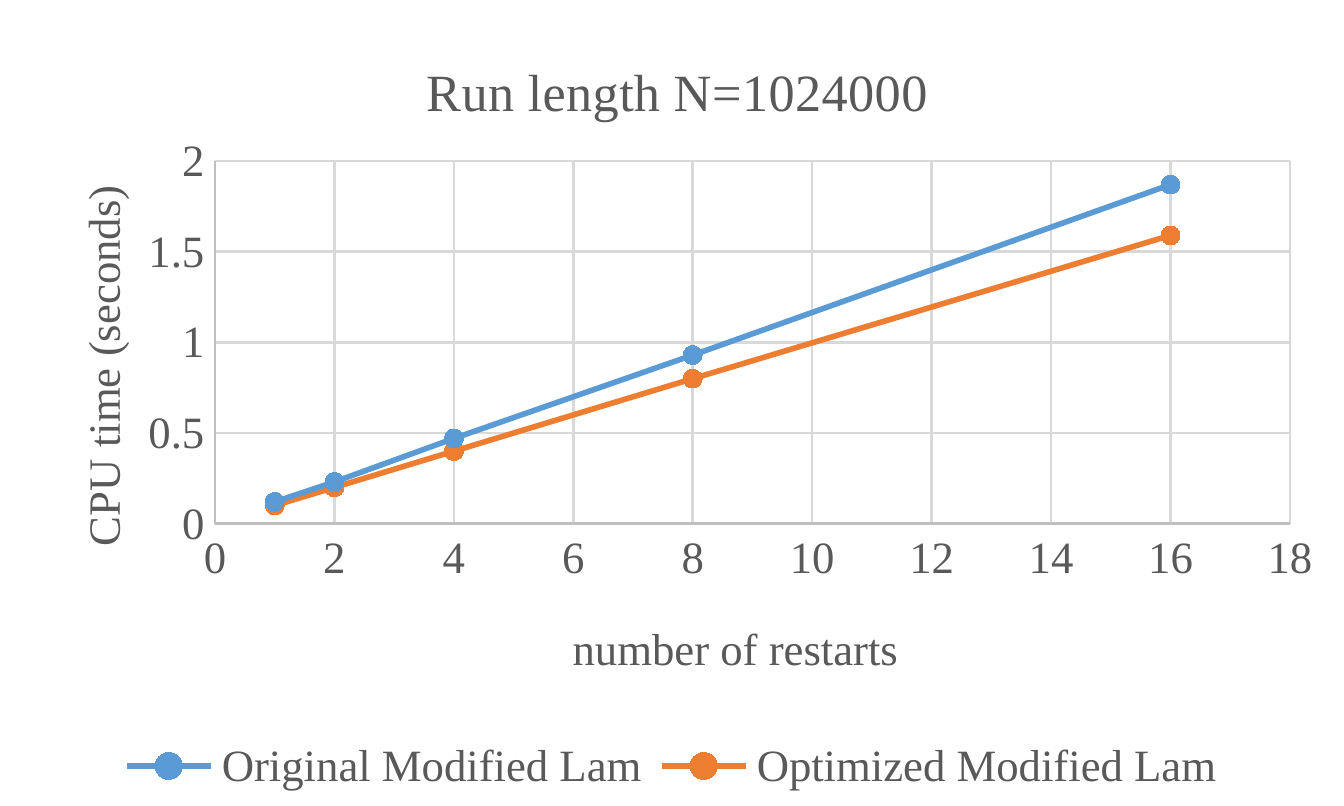
from lxml.etree import SubElement
from pptx import Presentation
from pptx.chart.data import XyChartData
from pptx.dml.color import RGBColor
from pptx.enum.chart import (
    XL_CHART_TYPE as ChartType,
    XL_LEGEND_POSITION as LegendPosition,
    XL_MARKER_STYLE as MarkerStyle,
    XL_TICK_MARK as TickMark,
)
from pptx.oxml.ns import qn
from pptx.util import Cm, Pt

RESTARTS = [1, 2, 4, 8, 16]
CPU_TIMES = {
    "Original Modified Lam": ("5B9BD5", [0.12, 0.23, 0.47, 0.93, 1.87]),
    "Optimized Modified Lam": ("ED7D31", [0.1, 0.2, 0.4, 0.8, 1.59]),
}


def color(hex_string):
    """Return the colour for a hex string."""
    return RGBColor.from_string(hex_string)


def format_line(line, hex_string, width):
    """Give a line its colour and its width in points."""
    line.color.rgb = color(hex_string)
    line.width = Pt(width)


def place(element, index, **fractions):
    """Fix a chart part at fractions of the chart's size."""
    for old_layout in element.findall(qn("c:layout")):
        element.remove(old_layout)
    layout = SubElement(element, qn("c:layout"))
    element.insert(index, layout)
    manual = SubElement(layout, qn("c:manualLayout"))
    if element.tag == qn("c:plotArea"):
        SubElement(manual, qn("c:layoutTarget")).set("val", "inner")
    for name in ("xMode", "yMode"):
        SubElement(manual, qn(f"c:{name}")).set("val", "edge")
    for name, value in fractions.items():
        SubElement(manual, qn(f"c:{name}")).set("val", str(value))


class ChartSlide:
    """Holds the style and the current slide."""

    font_name = "Times New Roman"
    text_color = "595959"
    axis_color = "BFBFBF"
    grid_color = "D9D9D9"

    def __init__(self, presentation):
        """Add a blank slide."""
        self.slide = presentation.slides.add_slide(presentation.slide_layouts[6])

    def format_font(self, font, size=12):
        """Apply the text style to a font."""
        font.name = self.font_name
        font.size = Pt(size)
        font.bold = False
        font.color.rgb = color(self.text_color)

    def add_title(self, owner, text, size=12, rotation=0, **position):
        """Write and place the title of a chart or an axis."""
        title = getattr(owner, "chart_title", None) or owner.axis_title
        frame = title.text_frame
        frame.text = text
        self.format_font(frame.paragraphs[0].runs[0].font, size)
        frame._txBody.bodyPr.set("rot", str(rotation * 60000))
        place(title._element, 1, **position)

    def format_axis(self, axis, maximum, step):
        """Set the scale, lines and labels of an axis."""
        axis.minimum_scale, axis.maximum_scale = 0, maximum
        axis.major_unit = step
        axis.major_tick_mark = axis.minor_tick_mark = TickMark.NONE
        axis.has_major_gridlines = True
        format_line(axis.major_gridlines.format.line, self.grid_color, 0.75)
        format_line(axis.format.line, self.axis_color, 0.75)
        axis.tick_labels.number_format = "General"
        axis.tick_labels.number_format_is_linked = False
        self.format_font(axis.tick_labels.font)

    def add_scatter(self, x_values, data, width, height):
        """Add a scatter chart with lines and round markers."""
        chart_data = XyChartData()
        for name, (_, y_values) in data.items():
            series = chart_data.add_series(name)
            for x, y in zip(x_values, y_values):
                series.add_data_point(x, y)
        chart = self.slide.shapes.add_chart(
            ChartType.XY_SCATTER_SMOOTH, 0, 0, width, height, chart_data
        ).chart
        self.format_font(chart.font)
        chart.plots[0].vary_by_categories = False
        for series, (hex_string, _) in zip(chart.plots[0].series, data.values()):
            series.smooth = True
            format_line(series.format.line, hex_string, 1.5)
            marker = series.marker
            marker.style, marker.size = MarkerStyle.CIRCLE, 5
            marker.format.fill.solid()
            marker.format.fill.fore_color.rgb = color(hex_string)
            format_line(marker.format.line, hex_string, 0.75)
        plot_area = chart._chartSpace.chart.plotArea
        place(plot_area, 0, x=0.16, y=0.2, w=0.8, h=0.45)
        return chart

    def add_legend(self, chart, **position):
        """Place the legend below the plot."""
        chart.has_legend = True
        chart.legend.position = LegendPosition.BOTTOM
        chart.legend.include_in_layout = False
        self.format_font(chart.legend.font)
        place(chart.legend._element, 1, **position)


def main():
    """Build and save the slide."""
    presentation = Presentation()
    presentation.slide_width, presentation.slide_height = Cm(12.7), Cm(7.62)
    page = ChartSlide(presentation)
    chart = page.add_scatter(RESTARTS, CPU_TIMES, Cm(12.7), Cm(7.62))
    page.format_axis(chart.category_axis, maximum=18, step=2)
    page.format_axis(chart.value_axis, maximum=2, step=0.5)
    page.add_title(chart, "Run length N=1024000", size=14, x=0.31, y=0.06)
    page.add_title(chart.category_axis, "number of restarts", x=0.42, y=0.76)
    page.add_title(
        chart.value_axis, "CPU time (seconds)", rotation=-90, x=0.05, y=0.22
    )
    page.add_legend(chart, x=0.08, y=0.92, w=0.84, h=0.08)
    presentation.save("out.pptx")


main()
